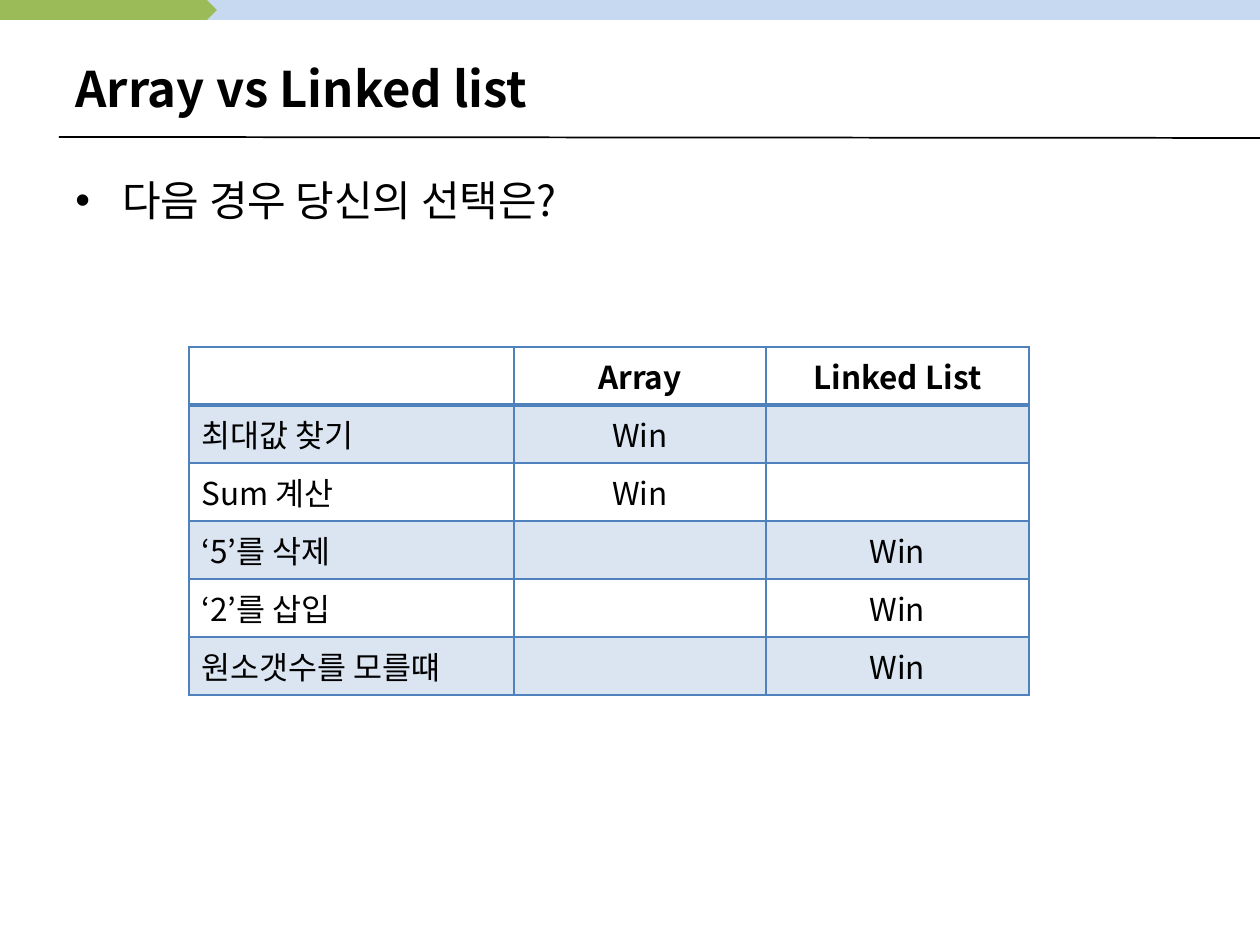
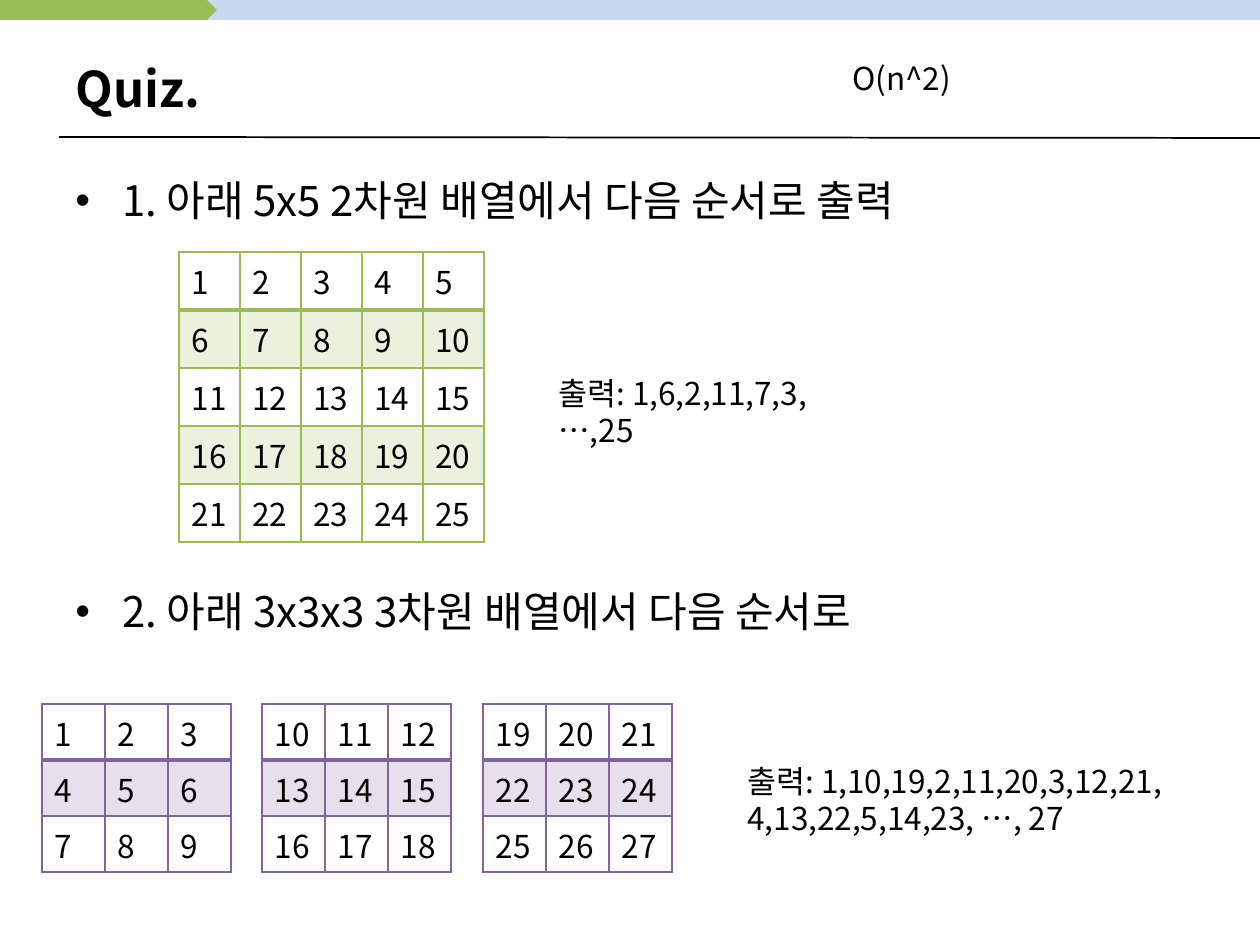
"""Build two slides on arrays and linked lists: a comparison and a quiz."""
from dataclasses import dataclass

import pptx
import pptx.dml.color
import pptx.enum.shapes
import pptx.enum.text
import pptx.oxml.ns
import pptx.presentation
import pptx.slide
import pptx.table
import pptx.text.text
import pptx.util
from lxml import etree

RGBColor = pptx.dml.color.RGBColor
Align = pptx.enum.text.PP_ALIGN
Anchor = pptx.enum.text.MSO_ANCHOR
Preset = pptx.enum.shapes.MSO_SHAPE
qn = pptx.oxml.ns.qn

PX_PER_INCH = 126
FONT = "Noto Sans CJK KR"
BLACK = RGBColor(0x00, 0x00, 0x00)
SKY = RGBColor(0xC6, 0xD9, 0xF1)
BLUE = RGBColor(0x4F, 0x81, 0xBD)
GREEN = RGBColor(0x9B, 0xBB, 0x59)
PURPLE = RGBColor(0x80, 0x64, 0xA2)
TITLE_SIZE, BULLET_SIZE, TEXT_SIZE = 28, 24, 18
BULLET_INDENT = 47
TEXT_TOP_INSET = 6


@dataclass(frozen=True)
class Area:
    """A rectangle in px."""
    left: int
    top: int
    width: int
    height: int

    def emu(self) -> tuple[int, int, int, int]:
        """Give the rectangle in EMU."""
        return px(self.left), px(self.top), px(self.width), px(self.height)


@dataclass(frozen=True)
class Grid:
    """A banded table with one accent colour."""
    left: int
    top: int
    columns: list[int]
    row_height: int
    rows: list[list[str]]
    accent: RGBColor
    bold_header: bool = False
    centred_from: int = 99


@dataclass(frozen=True)
class Note:
    """A free text box with one paragraph per line."""
    area: Area
    lines: list[str]


TITLE_AREA = Area(63, 38, 1177, 100)
BODY_AREA = Area(63, 168, 1134, 677)

COMPARISON = Grid(
    189, 347, [325, 252, 263], 58,
    [
        ["", "Array", "Linked List"],
        ["최대값 찾기", "Win", ""],
        ["Sum 계산", "Win", ""],
        ["‘5’를 삭제", "", "Win"],
        ["‘2’를 삽입", "", "Win"],
        ["원소갯수를 모를떄", "", "Win"],
    ],
    BLUE, bold_header=True, centred_from=1,
)


def px(length: int) -> int:
    """Turn px into EMU."""
    return pptx.util.Emu(round(length * 914400 / PX_PER_INCH))


def numbers(first: int, side: int) -> list[list[str]]:
    """Count from first through a square of the given side."""
    return [[str(first + side * row + column) for column in range(side)]
            for row in range(side)]


def style_paragraph(para: pptx.text.text._Paragraph, size: int, bold: bool = False) -> None:
    """Give every run the shared font."""
    for span in para.runs:
        span.font.name = FONT
        span.font.size = pptx.util.Pt(size)
        span.font.bold = bold
        span.font.color.rgb = BLACK
        etree.SubElement(span.font._element, qn("a:ea"), typeface=FONT)


def stop_kerning(para: pptx.text.text._Paragraph) -> None:
    """Switch pair kerning off."""
    for span in para.runs:
        span.font._element.set("kern", "0")


def add_text(page: pptx.slide.Slide, area: Area, lines: list[str], size: int,
             bold: bool = False) -> pptx.text.text.TextFrame:
    """Add a wrapping text box and style its lines."""
    frame = page.shapes.add_textbox(*area.emu()).text_frame
    frame.word_wrap = True
    frame.text = "\n".join(lines)
    for para in frame.paragraphs:
        style_paragraph(para, size, bold)
    return frame


def set_leading(frame: pptx.text.text.TextFrame, points: float) -> None:
    """Fix the line pitch of a text box."""
    frame.margin_top = px(TEXT_TOP_INSET)
    for para in frame.paragraphs:
        para.line_spacing = pptx.util.Pt(points)


def add_note(page: pptx.slide.Slide, note: Note) -> None:
    """Add a small text box."""
    set_leading(add_text(page, note.area, note.lines, TEXT_SIZE), 21.5)


def add_bullets(page: pptx.slide.Slide, lines: list[str], gap: int = 0) -> None:
    """Add the bulleted body, with a gap in points between items."""
    frame = add_text(page, BODY_AREA, lines, BULLET_SIZE)
    set_leading(frame, 29)
    for index, para in enumerate(frame.paragraphs):
        stop_kerning(para)
        if index:
            para.space_before = pptx.util.Pt(gap)
        properties = para._p.get_or_add_pPr()
        properties.set("marL", str(px(BULLET_INDENT)))
        properties.set("indent", str(-px(BULLET_INDENT)))
        etree.SubElement(properties, qn("a:buFont"), typeface="Arial")
        etree.SubElement(properties, qn("a:buChar"), char="•")


def add_band(page: pptx.slide.Slide, preset: int, area: Area, color: RGBColor) -> None:
    """Add a plain filled shape."""
    band = page.shapes.add_shape(preset, *area.emu())
    band.shadow.inherit = False
    band.fill.solid()
    band.fill.fore_color.rgb = color
    band.line.fill.background()


def add_page(deck: pptx.presentation.Presentation, title: str) -> pptx.slide.Slide:
    """Add a blank slide with the bands, rule and title."""
    page = deck.slides.add_slide(deck.slide_layouts[6])
    add_band(page, Preset.RECTANGLE, Area(59, 0, 1201, 20), SKY)
    add_band(page, Preset.PENTAGON, Area(0, 0, 217, 20), GREEN)
    rule = page.shapes.add_connector(
        pptx.enum.shapes.MSO_CONNECTOR.STRAIGHT, px(59), px(137), px(1260), px(138))
    rule.line.color.rgb = BLACK
    rule.line.width = pptx.util.Pt(1)
    etree.SubElement(rule._element.spPr, qn("a:effectLst"))
    add_text(page, TITLE_AREA, [title], TITLE_SIZE, True).vertical_anchor = Anchor.MIDDLE
    return page


def add_border(cell: pptx.table._Cell, side: str, points: int, color: RGBColor) -> None:
    """Draw one edge of a cell."""
    edge = etree.SubElement(cell._tc.get_or_add_tcPr(), qn(f"a:ln{side}"),
                            w=str(pptx.util.Pt(points)))
    fill = etree.SubElement(edge, qn("a:solidFill"))
    etree.SubElement(fill, qn("a:srgbClr"), val=str(color))


def fill_cell(cell: pptx.table._Cell, shaded: bool, color: RGBColor) -> None:
    """Tint a cell at 20 percent, or leave it clear."""
    if not shaded:
        cell.fill.background()
        return
    cell.fill.solid()
    cell.fill.fore_color.rgb = color
    tint = cell._tc.tcPr.find(qn("a:solidFill")).find(qn("a:srgbClr"))
    etree.SubElement(tint, qn("a:alpha"), val="20000")


def add_grid(page: pptx.slide.Slide, grid: Grid) -> None:
    """Add a table whose odd rows are tinted below a heavy header edge."""
    area = Area(grid.left, grid.top, sum(grid.columns), grid.row_height * len(grid.rows))
    table = page.shapes.add_table(len(grid.rows), len(grid.columns), *area.emu()).table
    table.first_row = table.horz_banding = False
    for column, width in zip(table.columns, grid.columns):
        column.width = px(width)
    for row_index, texts in enumerate(grid.rows):
        table.rows[row_index].height = px(grid.row_height)
        for column_index, text in enumerate(texts):
            cell = table.cell(row_index, column_index)
            cell.text_frame.text = text
            para = cell.text_frame.paragraphs[0]
            style_paragraph(para, TEXT_SIZE, grid.bold_header and row_index == 0)
            stop_kerning(para)
            if column_index >= grid.centred_from:
                para.alignment = Align.CENTER
            weights = {"L": 1, "R": 1, "T": 2 if row_index == 1 else 1,
                       "B": 2 if row_index == 0 else 1}
            for side, points in weights.items():
                add_border(cell, side, points, grid.accent)
            fill_cell(cell, row_index % 2 == 1, grid.accent)


def add_comparison(deck: pptx.presentation.Presentation) -> None:
    """Build the slide that compares the two structures."""
    page = add_page(deck, "Array vs Linked list")
    add_bullets(page, ["다음 경우 당신의 선택은?"])
    add_grid(page, COMPARISON)


def add_quiz(deck: pptx.presentation.Presentation) -> None:
    """Build the slide with the two traversal questions."""
    page = add_page(deck, "Quiz.")
    add_bullets(page, ["1. 아래 5x5 2차원 배열에서 다음 순서로 출력",
                       "2. 아래 3x3x3 3차원 배열에서 다음 순서로"], gap=206)
    add_grid(page, Grid(179, 252, [61] * 5, 58, numbers(1, 5), GREEN))
    for layer in range(3):
        add_grid(page, Grid(42 + 441 * layer // 2, 704, [63] * 3, 56,
                            numbers(1 + 9 * layer, 3), PURPLE))
    for note in (
        Note(Area(546, 368, 349, 50), ["출력: 1,6,2,11,7,3, …,25"]),
        Note(Area(735, 756, 451, 89),
             ["출력: 1,10,19,2,11,20,3,12,21,", "4,13,22,5,14,23, …, 27"]),
        Note(Area(840, 53, 126, 53), ["O(n^2)"]),
    ):
        add_note(page, note)


def main() -> None:
    """Build and save the deck."""
    deck = pptx.Presentation()
    deck.slide_width, deck.slide_height = px(1260), px(945)
    add_comparison(deck)
    add_quiz(deck)
    deck.save("out.pptx")


if __name__ == "__main__":
    main()
